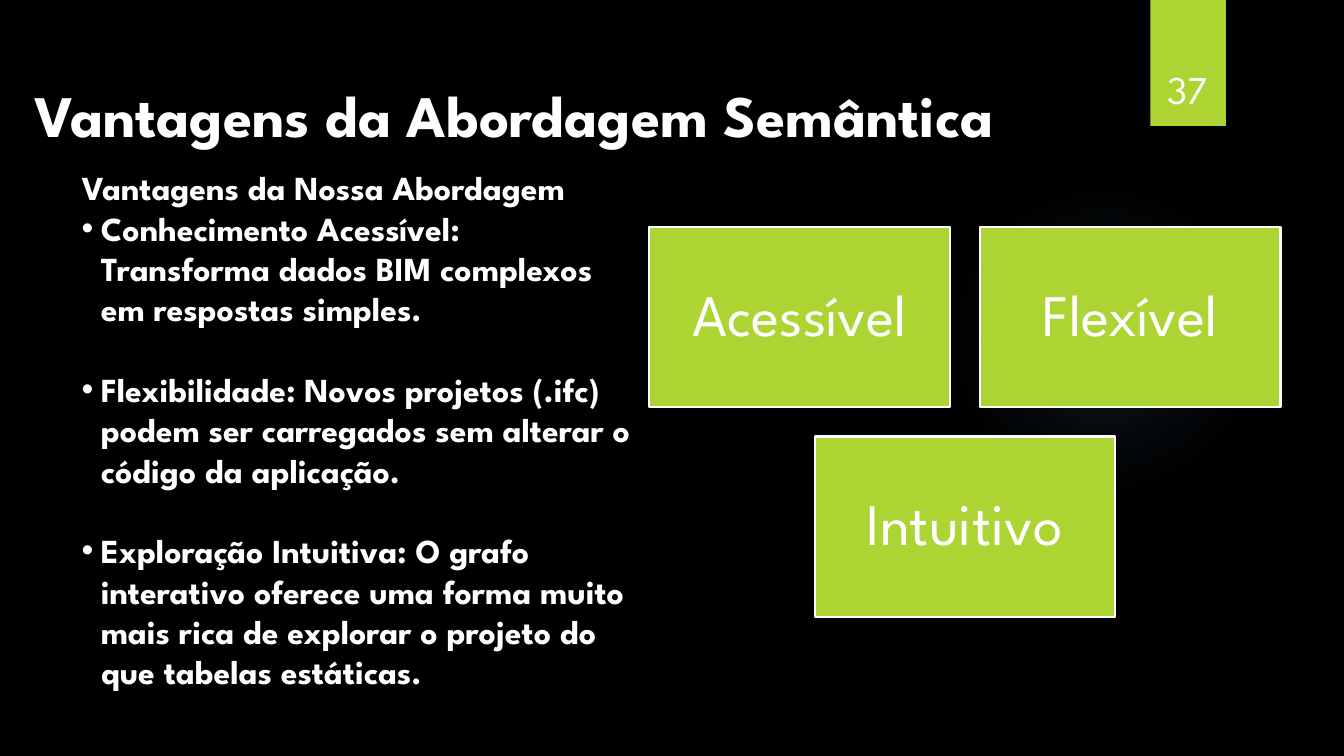
from lxml import etree
from pptx import Presentation
from pptx.enum import shapes, text
from pptx.dml import color
from pptx.oxml import ns
from pptx import util as u

COLOURS = {"black": "000000", "white": "FFFFFF", "lime": "ACD433", "glow": "7AC4F0"}
FONT = "League Spartan"
HEADING = "Vantagens da Nossa Abordagem"
BENEFITS = [
    "Conhecimento Acessível:  Transforma dados BIM complexos em respostas simples.",
    "Flexibilidade: Novos projetos (.ifc) podem ser carregados sem alterar o código da aplicação.",
    "Exploração Intuitiva: O grafo interativo oferece uma forma muito mais rica de explorar "
    "o projeto do que tabelas estáticas.",
]


def rgb(name):
    return color.RGBColor.from_string(COLOURS[name])


class SlideBuilder:
    def __init__(self, page):
        self.page = page
        page.background.fill.solid()
        page.background.fill.fore_color.rgb = rgb("black")

    def place(self, box, left, top, width, height):
        box.left, box.top = u.Inches(left), u.Inches(top)
        box.width, box.height = u.Inches(width), u.Inches(height)

    def style(self, para, size, bold=False, align=text.PP_ALIGN.LEFT, before=0, spacing=1.0):
        para.alignment = align
        para.line_spacing = spacing
        para.space_before, para.space_after = u.Pt(before), u.Pt(0)
        para.font.name, para.font.size, para.font.bold = FONT, u.Pt(size), bold
        para.font.color.rgb = rgb("white")

    def frame(self, box, anchor):
        frame = box.text_frame
        frame.word_wrap = True
        frame.auto_size = text.MSO_AUTO_SIZE.NONE
        frame.vertical_anchor = anchor
        return frame

    def title(self, words, *place):
        box = self.page.shapes.title
        self.place(box, *place)
        frame = self.frame(box, text.MSO_ANCHOR.TOP)
        frame.text = words
        self.style(frame.paragraphs[0], 42, bold=True)

    def bullets(self, heading, items, *place):
        box = self.page.placeholders[1]
        self.place(box, *place)
        frame = self.frame(box, text.MSO_ANCHOR.TOP)
        for index, words in enumerate([heading, *items]):
            para = frame.paragraphs[0] if index == 0 else frame.add_paragraph()
            para.text = words
            indent = u.Inches(0.19) if index else 0
            props = para._p.get_or_add_pPr()
            props.set("marL", str(indent))
            props.set("indent", str(-indent))
            if index:
                etree.SubElement(props, ns.qn("a:buFont"), typeface="Arial")
                etree.SubElement(props, ns.qn("a:buChar"), char="•")
            else:
                etree.SubElement(props, ns.qn("a:buNone"))
            self.style(para, 24, bold=True, before=28.8 if index > 1 else 0)

    def label(self, words, *place):
        box = self.page.shapes.add_textbox(*map(u.Inches, place))
        frame = self.frame(box, text.MSO_ANCHOR.BOTTOM)
        frame.text = words
        self.style(frame.paragraphs[0], 28, align=text.PP_ALIGN.CENTER)

    def shape(self, kind, *place):
        box = self.page.shapes.add_shape(kind, *map(u.Inches, place))
        box.shadow.inherit = False
        box.fill.solid()
        box.fill.fore_color.rgb = rgb("lime")
        box.line.fill.background()
        return box

    def tile(self, words, *place):
        box = self.shape(shapes.MSO_SHAPE.RECTANGLE, *place)
        box.line.color.rgb = rgb("white")
        box.line.width = u.Pt(1.5)
        frame = self.frame(box, text.MSO_ANCHOR.MIDDLE)
        frame.margin_left = frame.margin_right = u.Inches(0.17)
        frame.margin_top = frame.margin_bottom = u.Inches(0.17)
        frame.text = words
        self.style(frame.paragraphs[0], 42, align=text.PP_ALIGN.CENTER, spacing=0.9)

    def glow(self, *place):
        box = self.shape(shapes.MSO_SHAPE.OVAL, *place)
        solid = box._element.spPr.find(ns.qn("a:solidFill"))
        gradient = etree.Element(ns.qn("a:gradFill"), rotWithShape="1")
        stops = etree.SubElement(gradient, ns.qn("a:gsLst"))
        for position, alpha in ((0, 7), (36, 6), (69, 0)):
            stop = etree.SubElement(stops, ns.qn("a:gs"), pos=str(position * 1000))
            tint = etree.SubElement(stop, ns.qn("a:srgbClr"), val=COLOURS["glow"])
            etree.SubElement(tint, ns.qn("a:alpha"), val=str(alpha * 1000))
        circle = etree.SubElement(gradient, ns.qn("a:path"), attrib={"path": "circle"})
        etree.SubElement(circle, ns.qn("a:fillToRect"), l="50000", t="50000", r="50000", b="50000")
        solid.getparent().replace(solid, gradient)


def main():
    deck = Presentation()
    deck.slide_width, deck.slide_height = u.Inches(13.33), u.Inches(7.5)
    slide = SlideBuilder(deck.slides.add_slide(deck.slide_layouts[1]))

    # Backdrop and page number tag
    slide.glow(9.41, 1.83, 3.08, 3.08)
    slide.shape(shapes.MSO_SHAPE.RECTANGLE, 11.41, 0, 0.75, 1.25)
    slide.label("37", 11.32, 0.32, 0.92, 0.84)

    # Title and list
    slide.title("Vantagens da Abordagem Semântica", 0.24, 0.73, 11.74, 2.93)
    slide.bullets(HEADING, BENEFITS, 0.71, 1.61, 5.72, 5.76)

    # Tiles: two above, one centred below
    left, top, width, height = 6.44, 2.25, 2.98, 1.79
    across, down = 3.28, 2.08
    for words, column, row in (("Acessível", 0, 0), ("Flexível", 1, 0), ("Intuitivo", 0.5, 1)):
        slide.tile(words, left + column * across, top + row * down, width, height)

    deck.save("out.pptx")


if __name__ == "__main__":
    main()
